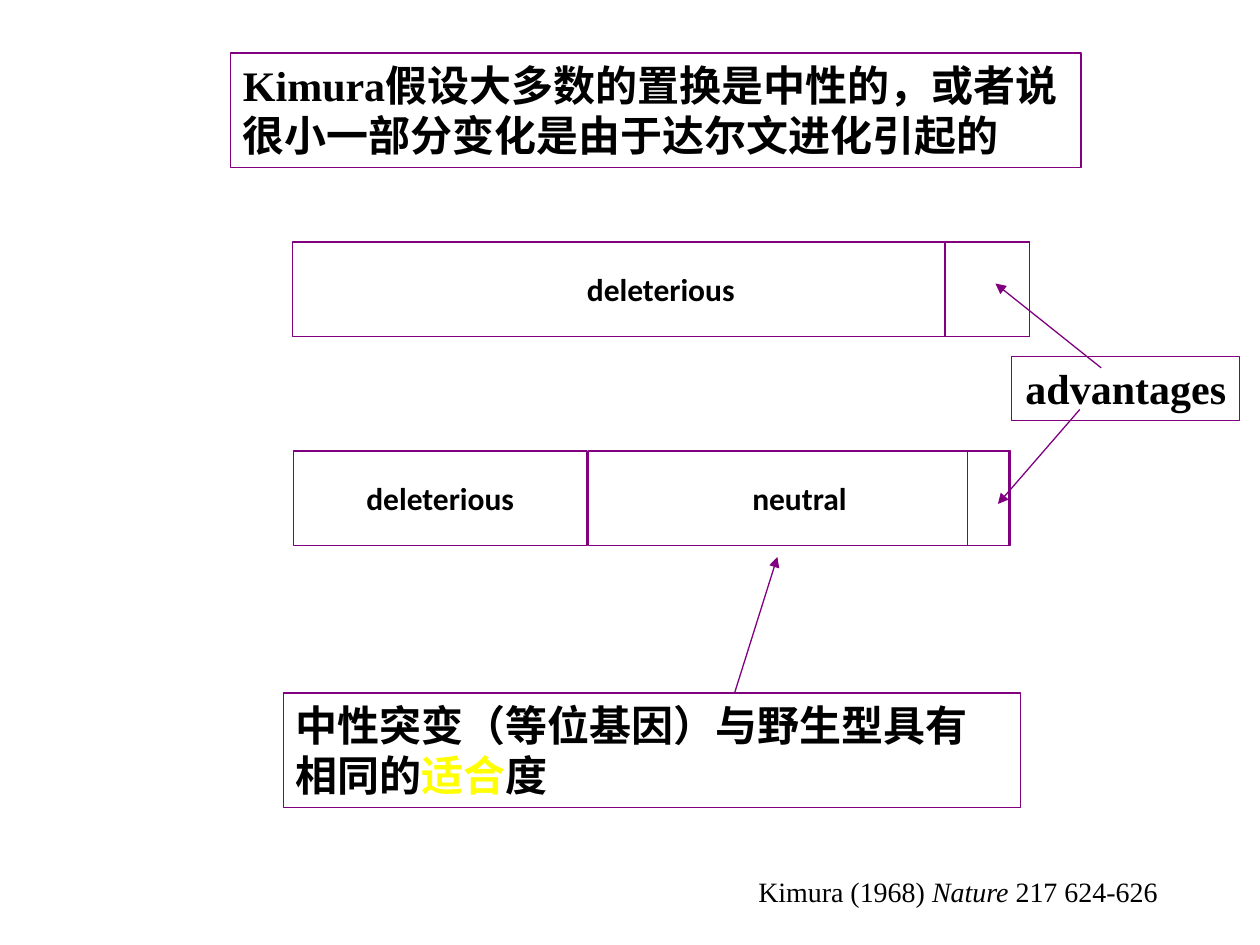
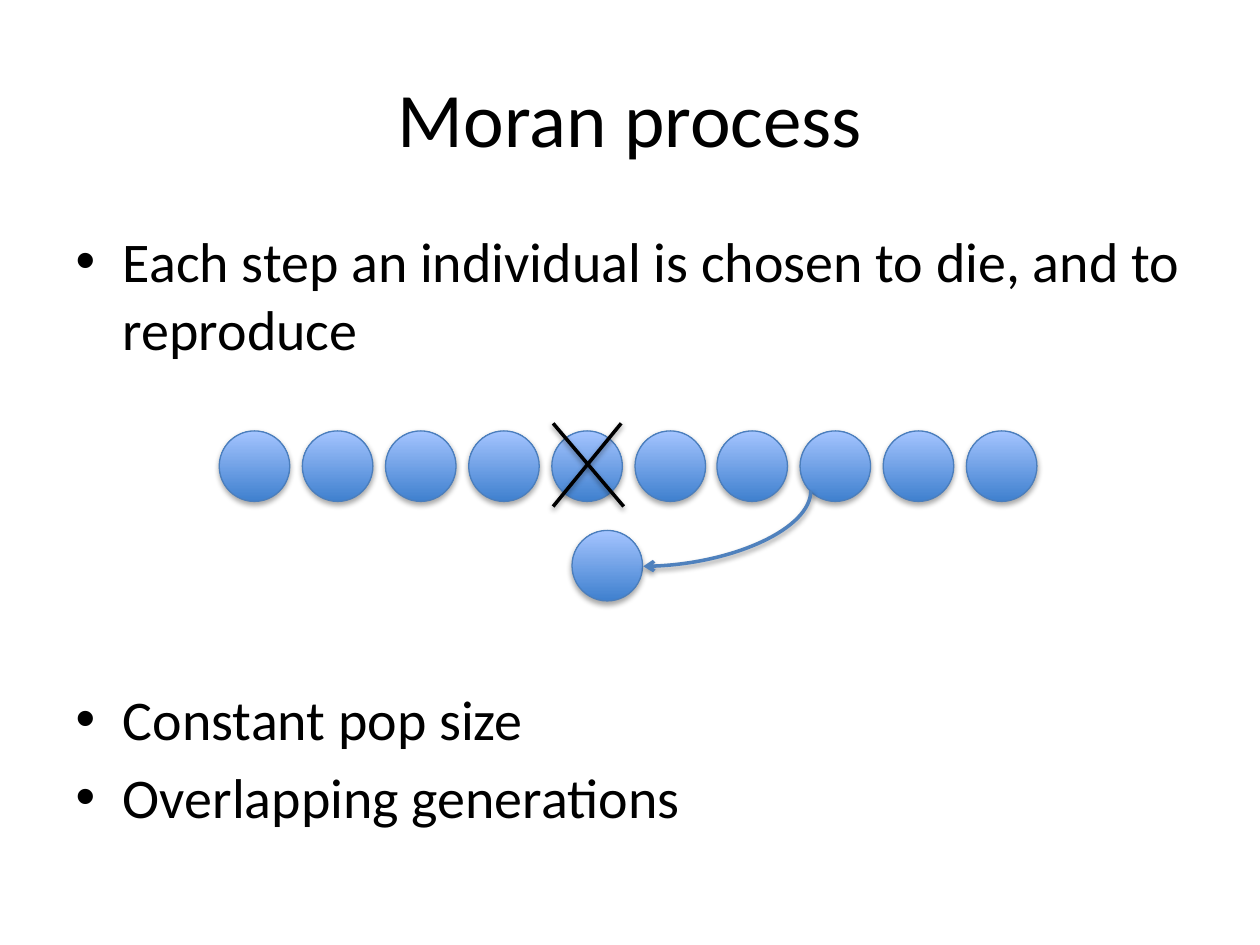
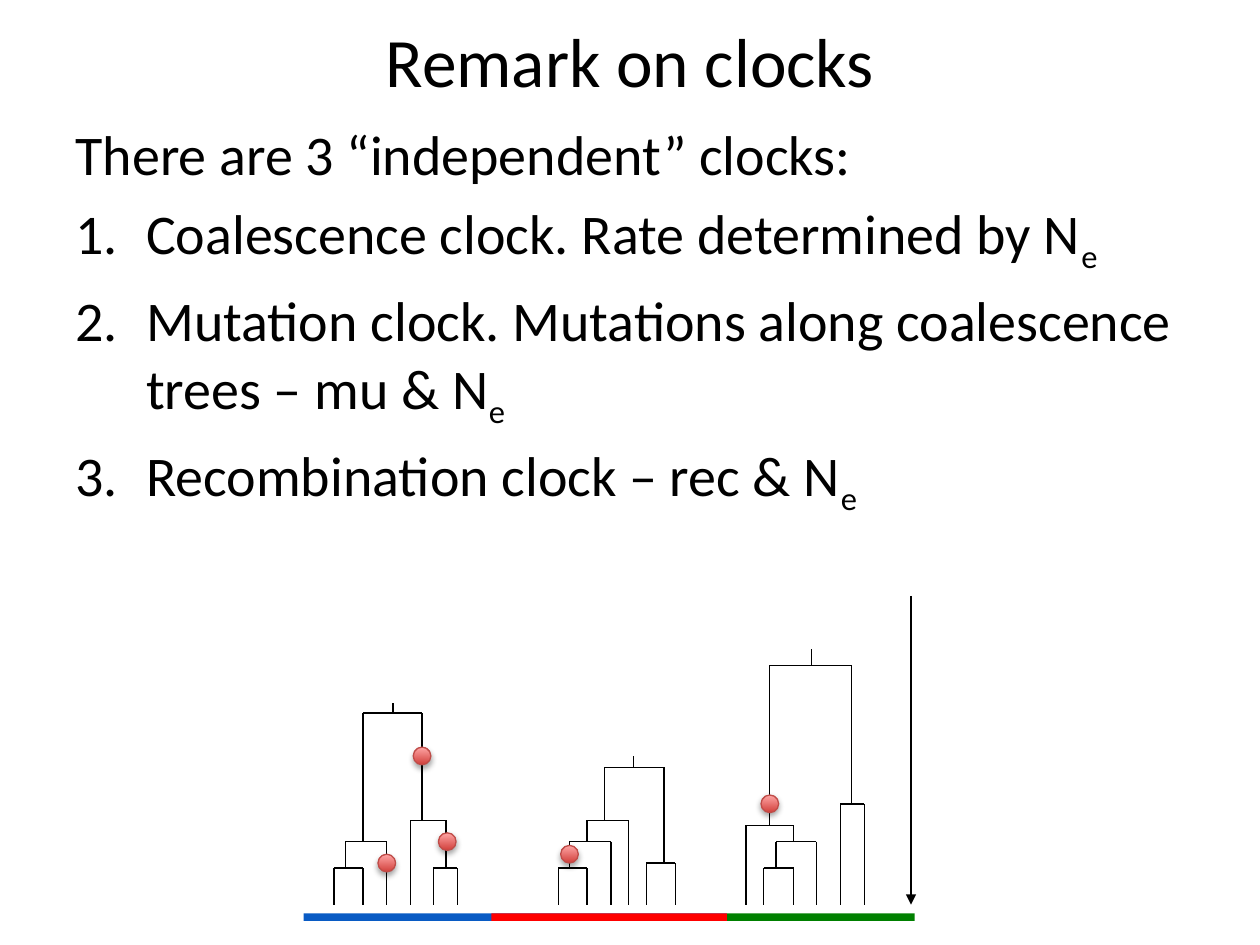
from lxml import etree
from pptx import Presentation
from pptx.dml.color import RGBColor
from pptx.enum.shapes import MSO_CONNECTOR, MSO_SHAPE
from pptx.enum.text import MSO_ANCHOR, MSO_AUTO_SIZE, PP_ALIGN
from pptx.oxml.ns import qn
from pptx.util import Pt

PX = 9144  # 100 px to the inch
BLACK = RGBColor(0x00, 0x00, 0x00)
PURPLE = RGBColor(0x80, 0x00, 0x80)
YELLOW = RGBColor(0xFF, 0xFF, 0x00)
STEEL = RGBColor(0x4F, 0x81, 0xBD)
NAVY = RGBColor(0x09, 0x5B, 0xC4)
GREEN = RGBColor(0x00, 0x80, 0x00)
RED = RGBColor(0xFF, 0x00, 0x00)
# low stop, high stop, outline
BLUES = (RGBColor(0x3F, 0x80, 0xCE), RGBColor(0xA4, 0xC4, 0xFF), RGBColor(0x4B, 0x7E, 0xBC))
ROSES = (RGBColor(0xD1, 0x40, 0x3C), RGBColor(0xFF, 0xA6, 0xA5), RGBColor(0xBF, 0x4C, 0x48))
SANS, SERIF = "Calibri", "Times New Roman"
LEFT, MID = PP_ALIGN.LEFT, PP_ALIGN.CENTER
TOP, HALF = MSO_ANCHOR.TOP, MSO_ANCHOR.MIDDLE
RECT, OVAL = MSO_SHAPE.RECTANGLE, MSO_SHAPE.OVAL
LINE, CURVE = MSO_CONNECTOR.STRAIGHT, MSO_CONNECTOR.CURVE


def wire(slide, ends, color, width=0.75, tip=None, kind=LINE, shade=False):
    """Draw a connector; shade keeps the shadow of the theme."""
    link = slide.shapes.add_connector(kind, *[n * PX for n in ends])
    link.line.color.rgb = color
    link.line.width = Pt(width)
    if tip:
        etree.SubElement(link.line._get_or_add_ln(), qn("a:tailEnd"), type=tip)
    if not shade:
        etree.SubElement(link._element.spPr, qn("a:effectLst"))
    return link


def dot(slide, x, y, size, tones):
    """Draw a shaded ball that keeps the shadow of the theme."""
    ball = slide.shapes.add_shape(OVAL, x * PX, y * PX, size * PX, size * PX)
    ball.fill.gradient()
    ball.fill.gradient_angle = 90
    for stop, tone in zip(ball.fill.gradient_stops, tones):
        stop.color.rgb = tone
    ball.line.color.rgb = tones[2]
    ball.line.width = Pt(0.75)


prs = Presentation()
prs.slide_width, prs.slide_height = 1000 * PX, 750 * PX

# Slide 1: neutral theory
slide = prs.slides.add_slide(prs.slide_layouts[6])
label = (SANS, 18, MID, HALF, False)
note = (SERIF, 24, LEFT, TOP, True)
boxes = [
    (232, 192, 585, 75, label, [("deleterious", BLACK)]),
    (750, 192, 67, 75, label, []),
    (803, 283, 181, 51, (SERIF, 24, MID, TOP, False), [("advantages", BLACK)]),
    (233, 358, 233, 75, label, [("deleterious", BLACK)]),
    (768, 358, 33, 75, label, []),
    (467, 358, 335, 75, label, [("neutral", BLACK)]),
    (183, 42, 675, 91, note,
     [("Kimura假设大多数的置换是中性的，或者说很小一部分变化是由于达尔文进化引起的", BLACK)]),
    (225, 550, 585, 91, note,
     [("中性突变（等位基因）与野生型具有相同的", BLACK), ("适合", YELLOW), ("度", BLACK)]),
]
for x, y, w, h, (face, size, align, anchor, wrap), runs in boxes:
    box = slide.shapes.add_shape(RECT, x * PX, y * PX, w * PX, h * PX)
    box.shadow.inherit = False
    box.fill.background()
    box.line.color.rgb = PURPLE
    box.line.width = Pt(0.75)
    frame = box.text_frame
    frame.word_wrap = wrap
    frame.vertical_anchor = anchor
    para = frame.paragraphs[0]
    para.alignment = align
    for text, color in runs:
        run = para.add_run()
        run.text = text
        run.font.name, run.font.size, run.font.bold = face, Pt(size), True
        run.font.color.rgb = color

for ends in [(874, 292, 790, 225), (857, 325, 792, 400), (583, 550, 617, 442)]:
    wire(slide, ends, PURPLE, tip="triangle")

cite = slide.shapes.add_textbox(592 * PX, 689 * PX, 358 * PX, 37 * PX).text_frame
cite.word_wrap = True
for text, slant in [("Kimura (1968) ", False), ("Nature", True), (" 217 624-626", False)]:
    run = cite.paragraphs[0].add_run()
    run.text = text
    run.font.name, run.font.size, run.font.italic = SERIF, Pt(16), slant
    run.font.color.rgb = BLACK

# Slides 2 and 3: title, title size and box, body top, list.
# List items: text, subscript, space before, numbering (None keeps the bullet)
pages = [
    ("Moran process", 44, (30, 125), 175, [
        ("Each step an individual is chosen to die, and to reproduce", "", 0, None),
        ("Constant pop size", "", 184.5, None),
        ("Overlapping generations", "", 6.4, None)]),
    ("Remark on clocks", 39.6, (6, 83), 90, [
        ("There are 3 “independent” clocks:", "", 0, False),
        ("Coalescence clock. Rate determined by N", "e", 6.4, True),
        ("Mutation clock. Mutations along coalescence trees – mu & N", "e", 6.4, True),
        ("Recombination clock – rec & N", "e", 6.4, True)]),
]
made = []
for name, size, (y, h), top, items in pages:
    slide = prs.slides.add_slide(prs.slide_layouts[1])
    made.append(slide)
    title, body = slide.placeholders
    for holder, at, high in [(title, y, h), (body, top, 495)]:
        holder.left, holder.top = 50 * PX, at * PX
        holder.width, holder.height = 900 * PX, high * PX
        holder.text_frame.auto_size = MSO_AUTO_SIZE.NONE
    run = title.text_frame.paragraphs[0].add_run()
    run.text = name
    run.font.name, run.font.size = SANS, Pt(size)
    run.font.color.rgb = BLACK
    frame = body.text_frame
    for i, (text, sub, gap, count) in enumerate(items):
        para = frame.add_paragraph() if i else frame.paragraphs[0]
        if count is not None:
            props = para._p.get_or_add_pPr()
            props.set("marL", str(56 * PX if count else 0))
            props.set("indent", str(-56 * PX if count else 0))
            if count:
                etree.SubElement(props, qn("a:buAutoNum"), type="arabicPeriod")
            else:
                etree.SubElement(props, qn("a:buNone"))
        para.space_before = Pt(gap)
        for part in filter(None, (text, sub)):
            run = para.add_run()
            run.text = part
            run.font.name, run.font.size = SANS, Pt(32)
            run.font.color.rgb = BLACK
            if part == sub:
                run.font._element.set("baseline", "-25000")
moran, clocks = made

# Population with one death and one birth
for i in range(10):
    dot(moran, round(174 + 65.9 * i), 342, 56, BLUES)
for ends in [(439, 336, 495, 402), (439, 402, 493, 336)]:
    wire(moran, ends, BLACK, 2, shade=True)
dot(moran, 454, 421, 56, BLUES)
birth = wire(moran, (547, 353, 607, 486), STEEL, 2, "arrow", CURVE, True)
birth._element.spPr.find(qn("a:prstGeom")).set("prst", "curvedConnector2")
birth._element.spPr.find(qn("a:xfrm")).set("rot", "5400000")

# Trees: each join is left, right, height, left foot, right foot
joins = [
    (265, 288, 689, 718, 718), (274, 307, 668, 689, 718), (344, 363, 689, 718, 718),
    (326, 354, 651, 718, 689), (288, 335, 566, 668, 651),
    (443, 466, 689, 718, 718), (452, 485, 668, 689, 718), (466, 499, 651, 668, 718),
    (513, 536, 685, 718, 718), (480, 527, 609, 651, 685),
    (606, 630, 689, 718, 718), (616, 648, 668, 689, 718), (592, 630, 655, 718, 668),
    (667, 686, 638, 718, 718), (611, 676, 528, 655, 638),
]
for a, b, y, foot, other in joins:
    for ends in [(a, foot, a, y), (a, y, b, y), (b, y, b, other)]:
        wire(clocks, ends, BLACK)
for x, y, top in [(312, 566, 558), (503, 609, 600), (644, 528, 515)]:
    wire(clocks, (x, y, x, top), BLACK)
wire(clocks, (723, 473, 723, 718), BLACK, tip="triangle")

for x, w, color in [(241, 336, NAVY), (577, 149, GREEN), (390, 187, RED)]:
    bar = clocks.shapes.add_shape(RECT, x * PX, 725 * PX, w * PX, 6 * PX)
    bar.shadow.inherit = False
    bar.fill.solid()
    bar.fill.fore_color.rgb = color
    bar.line.fill.background()
for x, y in [(328, 593), (348, 661), (300, 678), (445, 671), (604, 631)]:
    dot(clocks, x, y, 14, ROSES)

prs.save("out.pptx")
